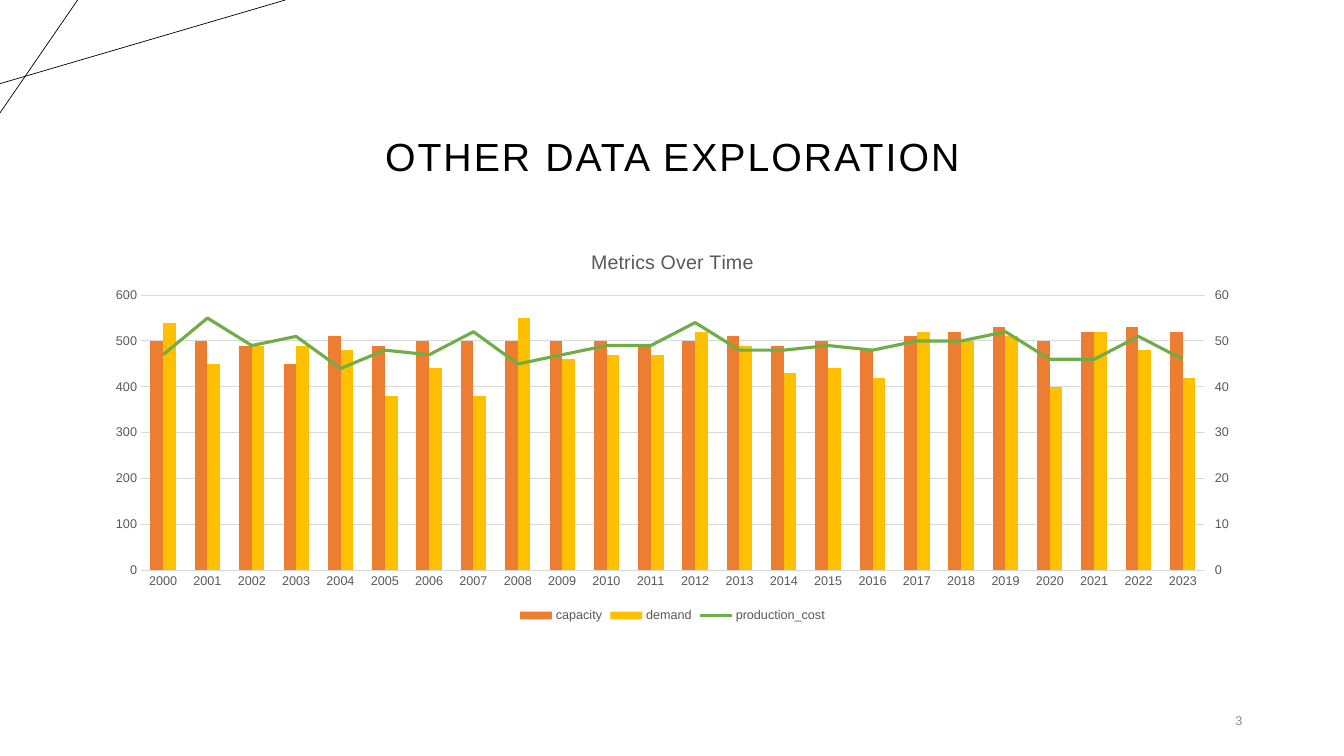
from dataclasses import dataclass

import pptx
import pptx.chart.axis
import pptx.chart.chart
import pptx.chart.data
import pptx.dml.color
import pptx.enum.chart
import pptx.enum.shapes
import pptx.enum.text
import pptx.oxml
import pptx.oxml.ns
import pptx.slide
import pptx.text.text
import pptx.util
from pptx.util import Inches

BLACK = pptx.dml.color.RGBColor(0x00, 0x00, 0x00)
GRAY = pptx.dml.color.RGBColor(0x59, 0x59, 0x59)
LIGHT_GRAY = pptx.dml.color.RGBColor(0xD9, 0xD9, 0xD9)
NUMBER_GRAY = pptx.dml.color.RGBColor(0x8C, 0x8C, 0x8C)
ORANGE = pptx.dml.color.RGBColor(0xED, 0x7D, 0x31)
GOLD = pptx.dml.color.RGBColor(0xFF, 0xC0, 0x00)
GREEN = pptx.dml.color.RGBColor(0x70, 0xAD, 0x47)
FONT = "Arial"


@dataclass
class Stroke:
    start: tuple[float, float]
    end: tuple[float, float]


@dataclass
class Metric:
    name: str
    color: pptx.dml.color.RGBColor
    values: list[int]


STROKES = [Stroke((0, 0.83), (2.83, 0)), Stroke((0.77, 0), (0, 1.12))]
YEARS = [str(year) for year in range(2000, 2024)]
METRICS = [
    Metric("capacity", ORANGE, [
        500, 500, 490, 450, 510, 490, 500, 500, 500, 500, 500, 490,
        500, 510, 490, 500, 480, 510, 520, 530, 500, 520, 530, 520]),
    Metric("demand", GOLD, [
        540, 450, 490, 490, 480, 380, 440, 380, 550, 460, 470, 470,
        520, 490, 430, 440, 420, 520, 500, 510, 400, 520, 480, 420]),
    Metric("production_cost", GREEN, [
        47, 55, 49, 51, 44, 48, 47, 52, 45, 47, 49, 49,
        54, 48, 48, 49, 48, 50, 50, 52, 46, 46, 51, 46]),
]

NAMESPACE = pptx.oxml.ns.nsdecls("c")
LINE_PLOT = f"""<c:lineChart {NAMESPACE}>
  <c:grouping val="standard"/><c:varyColors val="0"/>
  <c:marker val="1"/><c:axId val="301"/><c:axId val="302"/>
</c:lineChart>"""
RIGHT_AXIS = f"""<c:valAx {NAMESPACE}>
  <c:axId val="302"/><c:scaling><c:orientation val="minMax"/></c:scaling>
  <c:delete val="0"/><c:axPos val="r"/>
  <c:numFmt formatCode="General" sourceLinked="0"/>
  <c:majorTickMark val="out"/><c:minorTickMark val="none"/>
  <c:tickLblPos val="nextTo"/><c:crossAx val="301"/><c:crosses val="max"/>
</c:valAx>"""
HIDDEN_YEAR_AXIS = f"""<c:catAx {NAMESPACE}>
  <c:axId val="301"/><c:scaling><c:orientation val="minMax"/></c:scaling>
  <c:delete val="1"/><c:axPos val="b"/>
  <c:majorTickMark val="none"/><c:minorTickMark val="none"/>
  <c:tickLblPos val="nextTo"/><c:crossAx val="302"/><c:crosses val="autoZero"/>
</c:catAx>"""


def style_font(font: pptx.text.text.Font, size: float, color: pptx.dml.color.RGBColor) -> None:
    font.name = FONT
    font.size = pptx.util.Pt(size)
    font.bold = False
    font.color.rgb = color


def draw_stroke(page: pptx.slide.Slide, stroke: Stroke) -> None:
    line = page.shapes.add_connector(
        pptx.enum.shapes.MSO_CONNECTOR.STRAIGHT,
        *[Inches(value) for value in (*stroke.start, *stroke.end)])
    line.line.color.rgb = BLACK
    line.line.width = pptx.util.Pt(0.5)
    line._element.spPr.append(
        pptx.oxml.parse_xml(f"<a:effectLst {pptx.oxml.ns.nsdecls('a')}/>"))


def style_value_axis(axis: pptx.chart.axis.ValueAxis, top: int, step: int) -> None:
    axis.minimum_scale, axis.maximum_scale, axis.major_unit = 0, top, step
    axis.format.line.fill.background()
    style_font(axis.tick_labels.font, 9, GRAY)


def move_last_series_to_right_axis(chart: pptx.chart.chart.Chart) -> None:
    bars = chart.plots[0]._element
    series = chart.plots[0].series[2]._element
    for bar_setting in series.findall(pptx.oxml.ns.qn("c:invertIfNegative")):
        series.remove(bar_setting)
    line_plot = pptx.oxml.parse_xml(LINE_PLOT)
    line_plot.insert(2, series)
    bars.addnext(line_plot)
    right_axis = pptx.oxml.parse_xml(RIGHT_AXIS)
    chart.value_axis._element.addnext(right_axis)
    right_axis.addnext(pptx.oxml.parse_xml(HIDDEN_YEAR_AXIS))
    style_value_axis(pptx.chart.axis.ValueAxis(right_axis), 60, 10)


def draw_chart(page: pptx.slide.Slide) -> None:
    data = pptx.chart.data.CategoryChartData()
    data.categories = YEARS
    for metric in METRICS:
        data.add_series(metric.name, metric.values)
    chart = page.shapes.add_chart(
        pptx.enum.chart.XL_CHART_TYPE.COLUMN_CLUSTERED,
        Inches(0.92), Inches(2.31), Inches(11.5), Inches(3.91), data).chart
    style_font(chart.font, 10, BLACK)

    # Chart title and legend
    chart.has_title = True
    chart.chart_title.text_frame.text = "Metrics Over Time"
    style_font(chart.chart_title.text_frame.paragraphs[0].runs[0].font, 14, GRAY)
    chart.has_legend = True
    chart.legend.position = pptx.enum.chart.XL_LEGEND_POSITION.BOTTOM
    chart.legend.include_in_layout = False
    style_font(chart.legend.font, 9, GRAY)

    # Axes
    no_tick = pptx.enum.chart.XL_TICK_MARK.NONE
    years, amounts = chart.category_axis, chart.value_axis
    years.major_tick_mark = amounts.major_tick_mark = no_tick
    style_font(years.tick_labels.font, 9, GRAY)
    style_value_axis(amounts, 600, 100)
    for line in (years.format.line, amounts.major_gridlines.format.line):
        line.color.rgb = LIGHT_GRAY
        line.width = pptx.util.Pt(0.75)

    # Columns on the left axis, cost line on the right axis
    move_last_series_to_right_axis(chart)
    columns, cost_plot = chart.plots
    columns.gap_width = 150
    columns.overlap = 0
    columns.vary_by_categories = False
    for series, metric in zip(columns.series, METRICS):
        series.format.fill.solid()
        series.format.fill.fore_color.rgb = metric.color
    cost = cost_plot.series[0]
    cost.format.line.color.rgb = METRICS[2].color
    cost.format.line.width = pptx.util.Pt(2.25)
    cost.marker.style = pptx.enum.chart.XL_MARKER_STYLE.NONE
    cost.smooth = False


def draw_title(page: pptx.slide.Slide) -> None:
    title = page.shapes.title
    title.left, title.top = Inches(0.92), Inches(0.39)
    title.width, title.height = Inches(11.5), Inches(1.45)
    title.text_frame.text = "OTHER DATA EXPLORATION"
    title.text_frame.vertical_anchor = pptx.enum.text.MSO_ANCHOR.BOTTOM
    para = title.text_frame.paragraphs[0]
    para.alignment = pptx.enum.text.PP_ALIGN.CENTER
    para.line_spacing = 0.9
    span = para.runs[0]
    style_font(span.font, 28, BLACK)
    span._r.get_or_add_rPr().set("spc", "150")


def draw_page_number(page: pptx.slide.Slide) -> None:
    box = page.shapes.add_textbox(Inches(11.34), Inches(6.95), Inches(1.08), Inches(0.4))
    box.text_frame.word_wrap = True
    box.text_frame.vertical_anchor = pptx.enum.text.MSO_ANCHOR.MIDDLE
    box.text_frame.text = "3"
    para = box.text_frame.paragraphs[0]
    para.alignment = pptx.enum.text.PP_ALIGN.RIGHT
    para.space_after = pptx.util.Pt(6)
    style_font(para.runs[0].font, 9, NUMBER_GRAY)


def main() -> None:
    deck = pptx.Presentation()
    deck.slide_width, deck.slide_height = Inches(13.33), Inches(7.5)
    page = deck.slides.add_slide(deck.slide_layouts[5])
    for stroke in STROKES:
        draw_stroke(page, stroke)
    draw_title(page)
    draw_page_number(page)
    draw_chart(page)
    deck.save("out.pptx")


if __name__ == "__main__":
    main()
